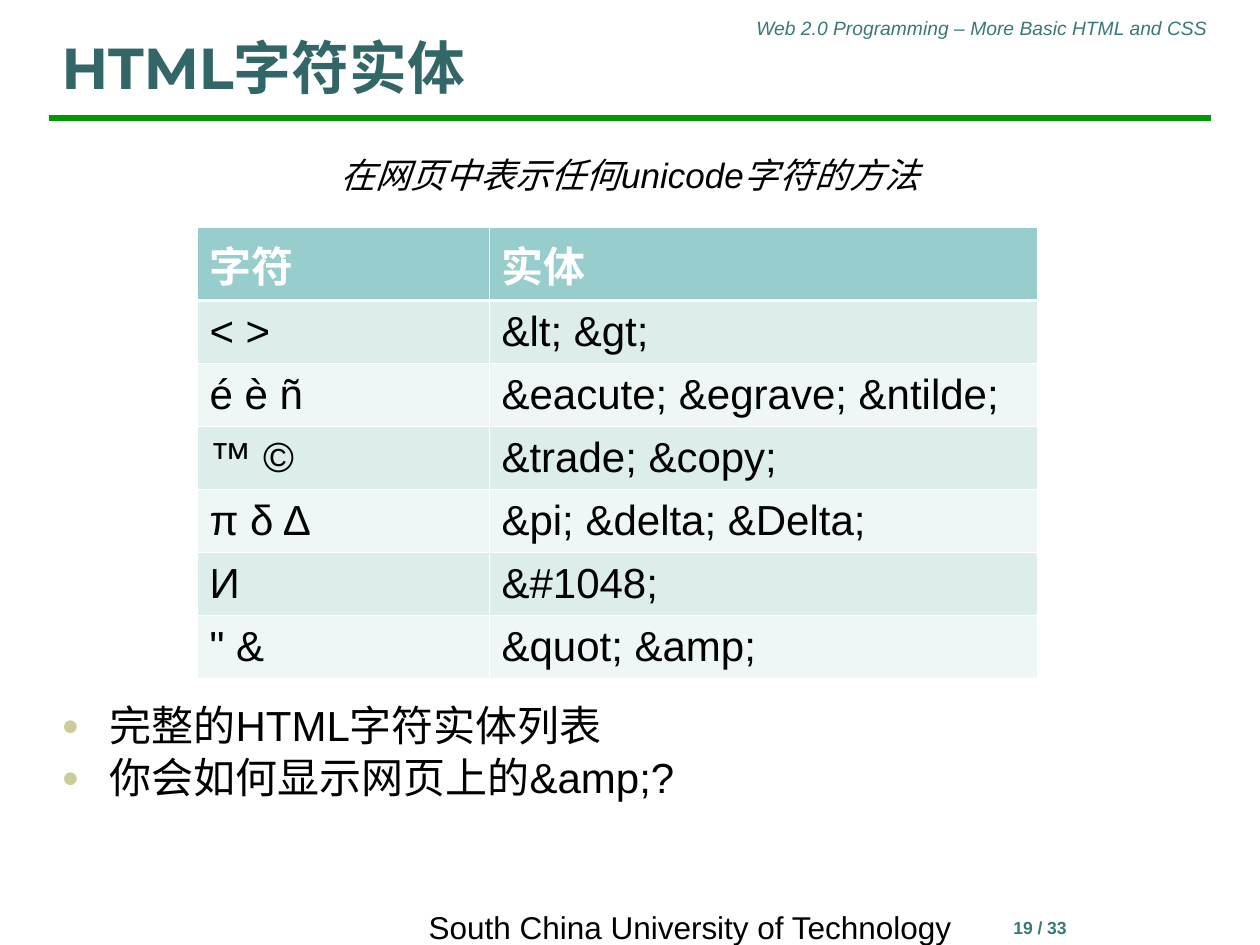
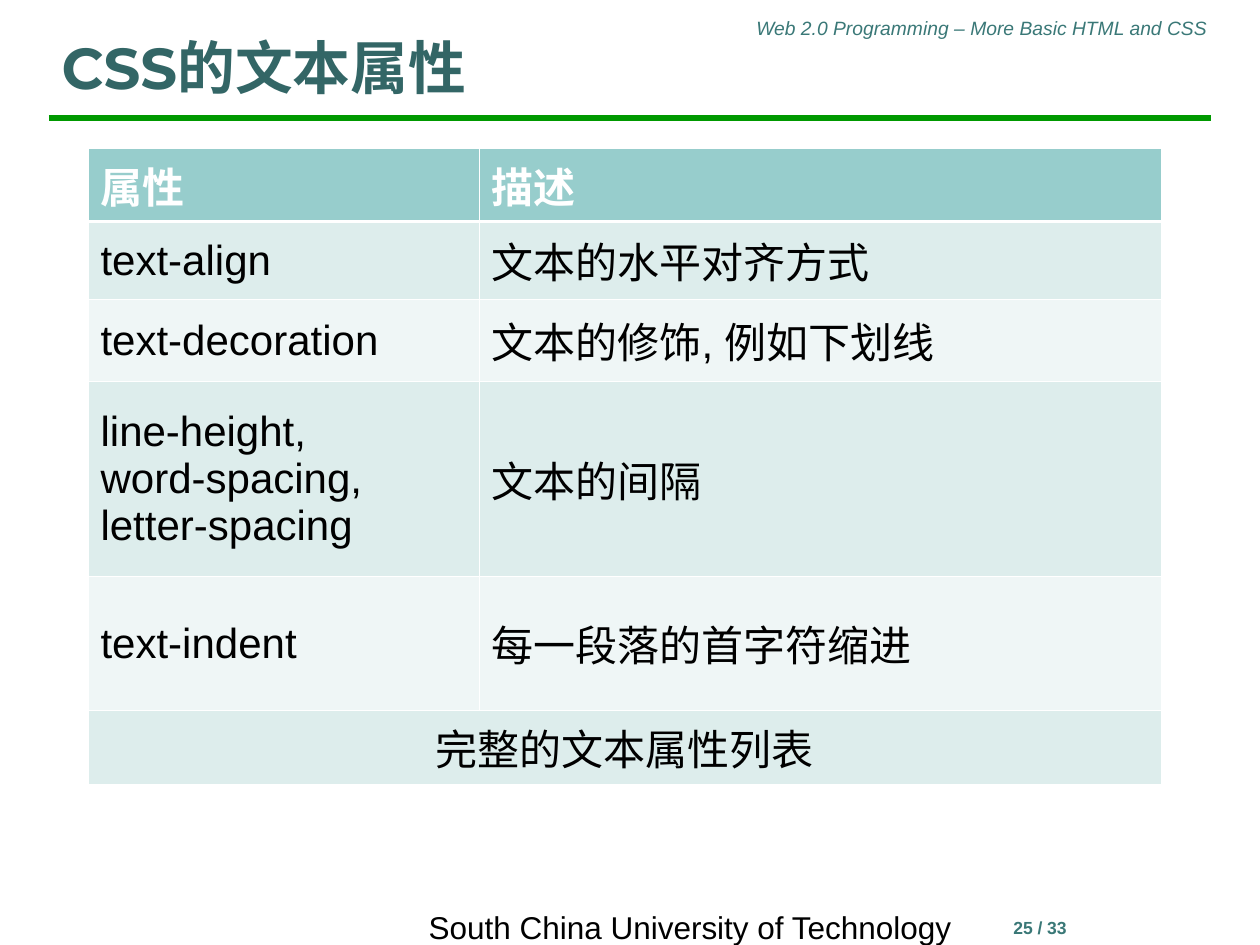
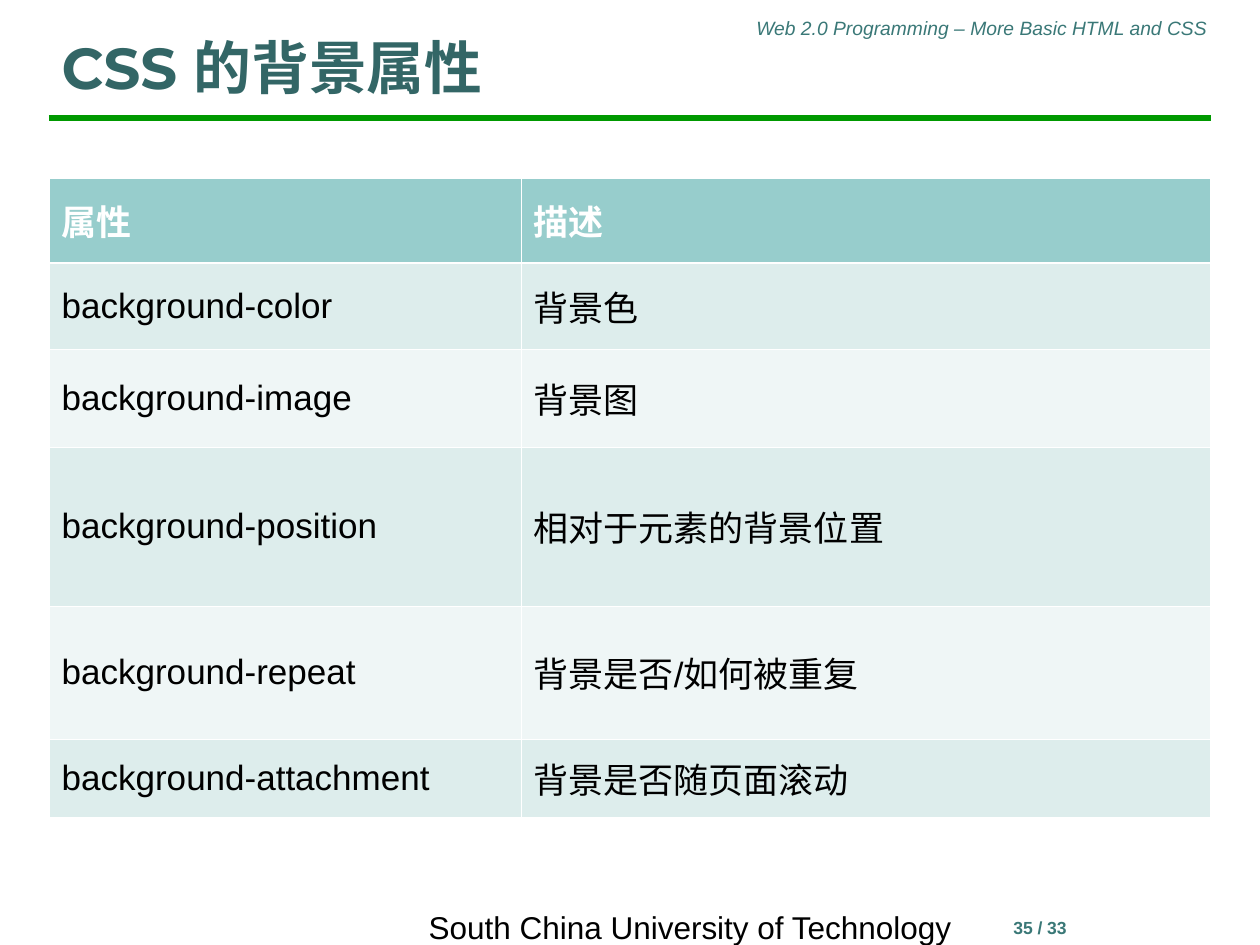
from dataclasses import dataclass

from lxml import etree
from pptx import Presentation
from pptx import util as u
from pptx.dml.color import RGBColor
from pptx.enum import shapes, text
from pptx.oxml import ns

# Scale: 126 px to the inch
EMU_PER_PX = 914400 / 126
SLIDE_WIDTH, SLIDE_HEIGHT = 1260, 945
MARGIN, CONTENT_WIDTH = 49, 1162
RULE_Y = 118

# Colours and fonts
TITLE_TEAL = RGBColor(0x33, 0x66, 0x66)
FOOTER_TEAL = RGBColor(0x3A, 0x78, 0x77)
RULE_GREEN = RGBColor(0x00, 0x99, 0x00)
BULLET_SAND = RGBColor(0xCC, 0xCC, 0x99)
HEADER_FILL = RGBColor(0x97, 0xCD, 0xCC)
ROW_FILLS = (RGBColor(0xDD, 0xED, 0xEC), RGBColor(0xEF, 0xF6, 0xF6))
WHITE = RGBColor(0xFF, 0xFF, 0xFF)
BLACK = RGBColor(0x00, 0x00, 0x00)
BODY_FONT, TITLE_FONT = "Arial", "Montserrat"

THIN_BORDER, HEADER_BORDER = 0.45, 1.47
PAGE_COUNT = 33
TITLE_AND_CONTENT, TITLE_ONLY = 1, 5


@dataclass(frozen=True)
class Box:
    left: int
    top: int
    width: int
    height: int


@dataclass(frozen=True)
class TextStyle:
    size: int
    color: RGBColor = BLACK
    font: str = BODY_FONT
    bold: bool = False
    italic: bool = False


@dataclass(frozen=True)
class Label:
    box: Box
    style: TextStyle
    align: text.PP_ALIGN = text.PP_ALIGN.CENTER
    anchor: text.MSO_ANCHOR = text.MSO_ANCHOR.TOP


@dataclass(frozen=True)
class TableSpec:
    left: int
    top: int
    columns: tuple[int, ...]
    rows: tuple[int, ...]
    size: int
    cells: tuple[tuple[str, ...], ...]  # a one-item row spans the table


TITLE_BOX = Box(MARGIN, 19, CONTENT_WIDTH, 88)
BODY_BOX = Box(MARGIN, 699, CONTENT_WIDTH, 168)
TITLE_STYLE = TextStyle(33, TITLE_TEAL, TITLE_FONT, bold=True)
BODY_STYLE = TextStyle(24)

COURSE_LABEL = Label(Box(610, 10, 610, 37), TextStyle(11, FOOTER_TEAL, italic=True),
                     align=text.PP_ALIGN.RIGHT)
PAGE_LABEL = Label(Box(898, 911, 284, 34), TextStyle(10, FOOTER_TEAL, bold=True))
SCHOOL_LABEL = Label(Box(402, 910, 576, 34), TextStyle(18), anchor=text.MSO_ANCHOR.MIDDLE)
SUBTITLE_LABEL = Label(Box(MARGIN, 147, CONTENT_WIDTH, 78), TextStyle(20, italic=True))


def px(length: int) -> u.Emu:
    return u.Emu(round(length * EMU_PER_PX))


def add_run(paragraph, words: str, style: TextStyle) -> None:
    run = paragraph.add_run()
    run.text = words
    run.font.name = style.font
    run.font.size = u.Pt(style.size)
    run.font.bold = style.bold
    run.font.italic = style.italic
    run.font.color.rgb = style.color


def place(shape, box: Box) -> None:
    shape.left, shape.top = px(box.left), px(box.top)
    shape.width, shape.height = px(box.width), px(box.height)


def add_label(slide, label: Label, words: str) -> None:
    box = label.box
    shape = slide.shapes.add_textbox(px(box.left), px(box.top), px(box.width), px(box.height))
    frame = shape.text_frame
    frame.word_wrap = True
    frame.auto_size = text.MSO_AUTO_SIZE.NONE
    frame.vertical_anchor = label.anchor
    paragraph = frame.paragraphs[0]
    paragraph.alignment = label.align
    add_run(paragraph, words, label.style)


# Parts shared by every slide
def add_page(presentation, layout: int, title: str, number: int):
    slide = presentation.slides.add_slide(presentation.slide_layouts[layout])
    rule = slide.shapes.add_connector(
        shapes.MSO_CONNECTOR.STRAIGHT,
        px(MARGIN), px(RULE_Y), px(MARGIN + CONTENT_WIDTH), px(RULE_Y))
    rule.line.color.rgb = RULE_GREEN
    rule.line.width = u.Pt(3)
    etree.SubElement(rule._element.spPr, ns.qn("a:effectLst"))

    add_label(slide, COURSE_LABEL, "Web 2.0 Programming – More Basic HTML and CSS")
    add_label(slide, PAGE_LABEL, f"{number} / {PAGE_COUNT}")
    add_label(slide, SCHOOL_LABEL, "South China University of Technology")

    place(slide.shapes.title, TITLE_BOX)
    frame = slide.shapes.title.text_frame
    frame.auto_size = text.MSO_AUTO_SIZE.NONE
    frame.vertical_anchor = text.MSO_ANCHOR.BOTTOM
    paragraph = frame.paragraphs[0]
    paragraph.alignment = text.PP_ALIGN.LEFT
    add_run(paragraph, title, TITLE_STYLE)
    return slide


# Bulleted list
def add_bullet(paragraph) -> None:
    properties = paragraph._p.get_or_add_pPr()
    properties.set("marL", str(px(48)))
    properties.set("indent", str(px(-48)))
    color = etree.SubElement(properties, ns.qn("a:buClr"))
    etree.SubElement(color, ns.qn("a:srgbClr"), val=str(BULLET_SAND))
    etree.SubElement(properties, ns.qn("a:buSzPct"), val="70000")
    etree.SubElement(properties, ns.qn("a:buChar"), char="●")


def fill_body(slide, items: tuple[str, ...]) -> None:
    body = slide.placeholders[1]
    place(body, BODY_BOX)
    frame = body.text_frame
    frame.auto_size = text.MSO_AUTO_SIZE.NONE
    for index, item in enumerate(items):
        paragraph = frame.add_paragraph() if index else frame.paragraphs[0]
        add_bullet(paragraph)
        paragraph.line_spacing = 0.9
        paragraph.space_before = u.Pt(4 if index else 0)
        add_run(paragraph, item, BODY_STYLE)


# Tables
def set_borders(cell, row: int) -> None:
    properties = cell._tc.get_or_add_tcPr()
    widths = {
        "a:lnL": THIN_BORDER,
        "a:lnR": THIN_BORDER,
        "a:lnT": HEADER_BORDER if row == 1 else THIN_BORDER,
        "a:lnB": HEADER_BORDER if row == 0 else THIN_BORDER,
    }
    for position, (tag, width) in enumerate(widths.items()):
        line = etree.Element(ns.qn(tag), w=str(u.Pt(width)))
        fill = etree.SubElement(line, ns.qn("a:solidFill"))
        etree.SubElement(fill, ns.qn("a:srgbClr"), val=str(WHITE))
        properties.insert(position, line)


def add_grid(slide, spec: TableSpec) -> None:
    table = slide.shapes.add_table(
        len(spec.rows), len(spec.columns), px(spec.left), px(spec.top),
        px(sum(spec.columns)), px(sum(spec.rows))).table
    for column, width in zip(table.columns, spec.columns):
        column.width = px(width)
    for row, height in zip(table.rows, spec.rows):
        row.height = px(height)

    header_style = TextStyle(spec.size, WHITE, bold=True)
    cell_style = TextStyle(spec.size)
    for row, entries in enumerate(spec.cells):
        for column in range(len(spec.columns)):
            cell = table.cell(row, column)
            cell.fill.solid()
            cell.fill.fore_color.rgb = ROW_FILLS[(row - 1) % 2] if row else HEADER_FILL
            cell.vertical_anchor = text.MSO_ANCHOR.MIDDLE
            set_borders(cell, row)
        spans = len(entries) < len(spec.columns)
        if spans:
            table.cell(row, 0).merge(table.cell(row, len(spec.columns) - 1))
        for column, entry in enumerate(entries):
            paragraph = table.cell(row, column).text_frame.paragraphs[0]
            paragraph.alignment = text.PP_ALIGN.CENTER if spans else text.PP_ALIGN.LEFT
            for index, line in enumerate(entry.split("\n")):
                if index:
                    paragraph.add_line_break()
                add_run(paragraph, line, cell_style if row else header_style)


ENTITY_TABLE = TableSpec(
    left=197, top=227, columns=(292, 548), rows=(63,) * 7, size=24,
    cells=(
        ("字符", "实体"),
        ("< >", "&lt; &gt;"),
        ("é è ñ", "&eacute; &egrave; &ntilde;"),
        ("™ ©", "&trade; &copy;"),
        ("π δ Δ", "&pi; &delta; &Delta;"),
        ("И", "&#1048;"),
        ('" &', "&quot; &amp;"),
    ))

TEXT_TABLE = TableSpec(
    left=88, top=148, columns=(391, 682), rows=(66, 78, 82, 195, 134, 66), size=24,
    cells=(
        ("属性", "描述"),
        ("text-align", "文本的水平对齐方式"),
        ("text-decoration", "文本的修饰, 例如下划线"),
        ("line-height,\nword-spacing,\nletter-spacing", "文本的间隔"),
        ("text-indent", "每一段落的首字符缩进"),
        ("完整的文本属性列表",),
    ))

BACKGROUND_TABLE = TableSpec(
    left=49, top=178, columns=(472, 689), rows=(85, 86, 98, 159, 133, 78), size=20,
    cells=(
        ("属性", "描述"),
        ("background-color", "背景色"),
        ("background-image", "背景图"),
        ("background-position", "相对于元素的背景位置"),
        ("background-repeat", "背景是否/如何被重复"),
        ("background-attachment", "背景是否随页面滚动"),
    ))


def main() -> None:
    presentation = Presentation()
    presentation.slide_width = px(SLIDE_WIDTH)
    presentation.slide_height = px(SLIDE_HEIGHT)

    # HTML entities
    slide = add_page(presentation, TITLE_AND_CONTENT, "HTML字符实体", 19)
    fill_body(slide, ("完整的HTML字符实体列表", "你会如何显示网页上的&amp;?"))
    add_label(slide, SUBTITLE_LABEL, "在网页中表示任何unicode字符的方法")
    add_grid(slide, ENTITY_TABLE)

    # CSS text properties
    slide = add_page(presentation, TITLE_ONLY, "CSS的文本属性", 25)
    add_grid(slide, TEXT_TABLE)

    # CSS background properties
    slide = add_page(presentation, TITLE_ONLY, "CSS 的背景属性", 35)
    add_grid(slide, BACKGROUND_TABLE)

    presentation.save("out.pptx")


if __name__ == "__main__":
    main()
